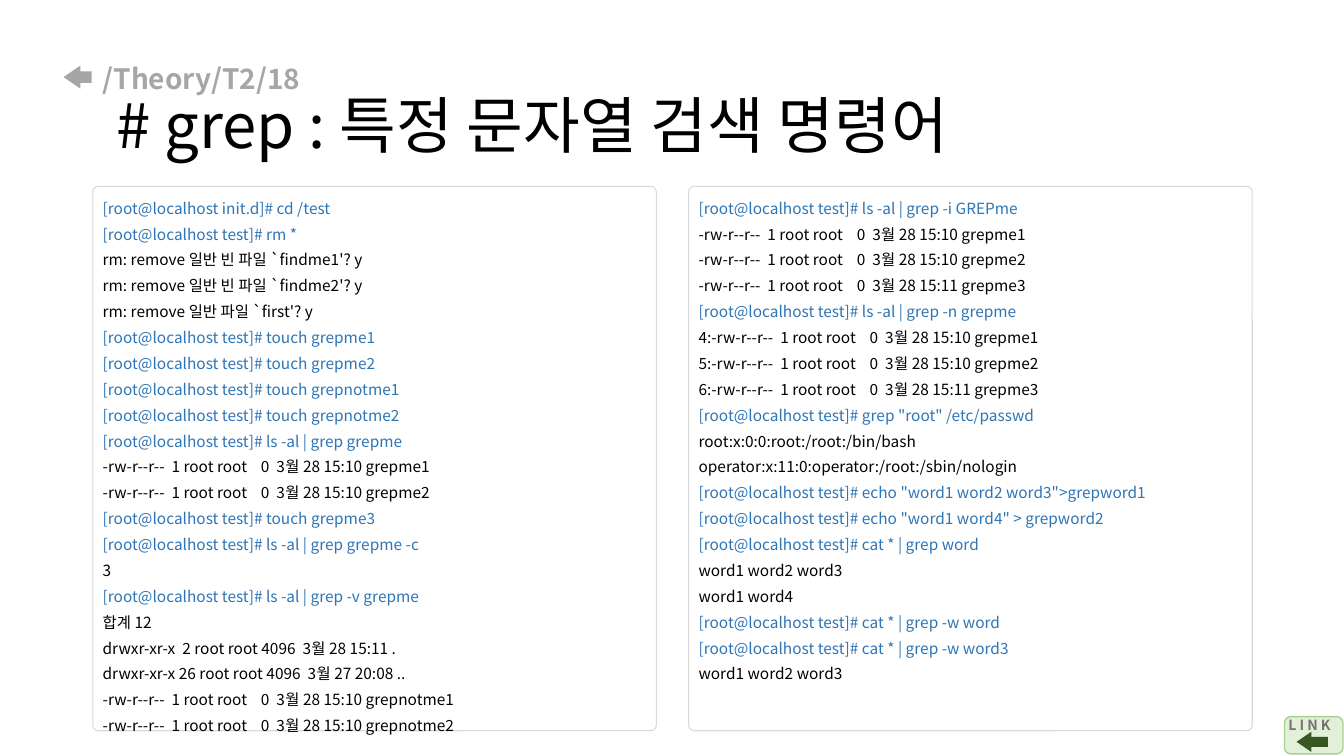
from lxml.etree import SubElement
from pptx import Presentation
from pptx.dml.color import RGBColor
from pptx.enum.shapes import MSO_SHAPE
from pptx.enum.text import MSO_ANCHOR, MSO_AUTO_SIZE
from pptx.oxml.ns import qn
from pptx.util import Inches, Pt

FONT = "Noto Sans CJK KR"
BLACK = RGBColor(0x00, 0x00, 0x00)
GRAY = RGBColor(0xA6, 0xA6, 0xA6)
DARK_GRAY = RGBColor(0x76, 0x71, 0x71)
BORDER = RGBColor(0xD9, 0xD9, 0xD9)
COMMAND_BLUE = RGBColor(0x2E, 0x75, 0xB6)
PALE_GREEN = RGBColor(0xE2, 0xF0, 0xD9)
GREEN = RGBColor(0xA9, 0xD1, 0x8E)
DARK_GREEN = RGBColor(0x38, 0x57, 0x23)

LEFT_SESSION = [
    "[root@localhost init.d]# cd /test",
    "[root@localhost test]# rm *",
    "rm: remove 일반 빈 파일 `findme1'? y",
    "rm: remove 일반 빈 파일 `findme2'? y",
    "rm: remove 일반 파일 `first'? y",
    "[root@localhost test]# touch grepme1",
    "[root@localhost test]# touch grepme2",
    "[root@localhost test]# touch grepnotme1",
    "[root@localhost test]# touch grepnotme2",
    "[root@localhost test]# ls -al | grep grepme",
    "-rw-r--r--  1 root root    0  3월 28 15:10 grepme1",
    "-rw-r--r--  1 root root    0  3월 28 15:10 grepme2",
    "[root@localhost test]# touch grepme3",
    "[root@localhost test]# ls -al | grep grepme -c",
    "3",
    "[root@localhost test]# ls -al | grep -v grepme",
    "합계 12",
    "drwxr-xr-x  2 root root 4096  3월 28 15:11 .",
    "drwxr-xr-x 26 root root 4096  3월 27 20:08 ..",
    "-rw-r--r--  1 root root    0  3월 28 15:10 grepnotme1",
    "-rw-r--r--  1 root root    0  3월 28 15:10 grepnotme2",
]

RIGHT_SESSION = [
    "[root@localhost test]# ls -al | grep -i GREPme",
    "-rw-r--r--  1 root root    0  3월 28 15:10 grepme1",
    "-rw-r--r--  1 root root    0  3월 28 15:10 grepme2",
    "-rw-r--r--  1 root root    0  3월 28 15:11 grepme3",
    "[root@localhost test]# ls -al | grep -n grepme",
    "4:-rw-r--r--  1 root root    0  3월 28 15:10 grepme1",
    "5:-rw-r--r--  1 root root    0  3월 28 15:10 grepme2",
    "6:-rw-r--r--  1 root root    0  3월 28 15:11 grepme3",
    '[root@localhost test]# grep "root" /etc/passwd',
    "root:x:0:0:root:/root:/bin/bash",
    "operator:x:11:0:operator:/root:/sbin/nologin",
    '[root@localhost test]# echo "word1 word2 word3">grepword1',
    '[root@localhost test]# echo "word1 word4" > grepword2',
    "[root@localhost test]# cat * | grep word",
    "word1 word2 word3",
    "word1 word4",
    "[root@localhost test]# cat * | grep -w word",
    "[root@localhost test]# cat * | grep -w word3",
    "word1 word2 word3",
]


def style_font(font, properties, size, color, bold=False):
    font.name = FONT
    font.size = Pt(size)
    font.bold = bold
    font.color.rgb = color
    SubElement(properties, qn("a:ea")).set("typeface", FONT)


def style_paragraph(paragraph, size, color, bold=False):
    font = paragraph.font
    style_font(font, paragraph._p.pPr.find(qn("a:defRPr")), size, color, bold)


def add_text_box(shapes, left, top, width, height):
    text_box = shapes.add_textbox(Inches(left), Inches(top), Inches(width), Inches(height))
    text_box.text_frame.word_wrap = True
    return text_box.text_frame


def add_plain_shape(shapes, kind, left, top, width, height, fill=None, line=None, line_width=0):
    shape = shapes.add_shape(kind, Inches(left), Inches(top), Inches(width), Inches(height))
    shape.shadow.inherit = False
    if fill is None:
        shape.fill.background()
    else:
        shape.fill.solid()
        shape.fill.fore_color.rgb = fill
    if line is None:
        shape.line.fill.background()
    else:
        shape.line.color.rgb = line
        shape.line.width = Pt(line_width)
    return shape


def add_back_arrow(shapes, left, top, width, height, color):
    arrow = add_plain_shape(shapes, MSO_SHAPE.LEFT_ARROW, left, top, width, height, color)
    arrow.adjustments[0] = 0.5
    arrow.adjustments[1] = 0.73


def add_title(slide, left, top, width, height):
    text_frame = add_text_box(slide.shapes, left, top, width, height)
    text_frame.vertical_anchor = MSO_ANCHOR.MIDDLE
    paragraph = text_frame.paragraphs[0]
    paragraph.line_spacing = 0.9
    location = paragraph.add_run()
    location.text = "/Theory/T2/18"
    style_font(location.font, location._r.get_or_add_rPr(), 20, GRAY, True)
    paragraph.add_line_break()
    heading = paragraph.add_run()
    heading.text = " # grep : 특정 문자열 검색 명령어"
    style_font(heading.font, heading._r.get_or_add_rPr(), 44, BLACK)
    add_back_arrow(slide.shapes, left - 0.29, top + 0.25, 0.28, 0.23, GRAY)


def add_session_panel(slide, session, left, top, width, height):
    shapes = slide.shapes.add_group_shape().shapes
    frame = add_plain_shape(shapes, MSO_SHAPE.ROUNDED_RECTANGLE, left, top, width, height, line=BORDER)
    frame.adjustments[0] = 0.01
    text_frame = add_text_box(shapes, left, top, width, 0.31 + 0.26 * len(session))
    text_frame.auto_size = MSO_AUTO_SIZE.SHAPE_TO_FIT_TEXT
    for index, line in enumerate(session):
        paragraph = text_frame.add_paragraph() if index else text_frame.paragraphs[0]
        paragraph.text = line
        paragraph.line_spacing = 1.4
        style_paragraph(paragraph, 11, COMMAND_BLUE if line.startswith("[root@") else BLACK)


def add_link_button(slide, left, top, width, height):
    shapes = slide.shapes.add_group_shape().shapes
    add_plain_shape(shapes, MSO_SHAPE.ROUNDED_RECTANGLE, left, top, width, height, PALE_GREEN, GREEN, 1)
    text_frame = add_text_box(shapes, left - 0.06, top - 0.05, 0.74, 0.44)
    paragraph = text_frame.paragraphs[0]
    paragraph.text = "L I N K"
    style_paragraph(paragraph, 10, DARK_GRAY, True)
    add_back_arrow(shapes, left + 0.12, top + 0.15, 0.31, 0.2, DARK_GREEN)


def main():
    presentation = Presentation()
    presentation.slide_width = Inches(13.33)
    presentation.slide_height = Inches(7.5)
    slide = presentation.slides.add_slide(presentation.slide_layouts[6])
    add_title(slide, 0.92, 0.4, 11.5, 1.45)
    for column, session in enumerate((LEFT_SESSION, RIGHT_SESSION)):
        add_session_panel(slide, session, 0.92 + 5.91 * column, 1.85, 5.59, 5.4)
    add_link_button(slide, 12.74, 7.11, 0.58, 0.37)
    presentation.save("out.pptx")


if __name__ == "__main__":
    main()
